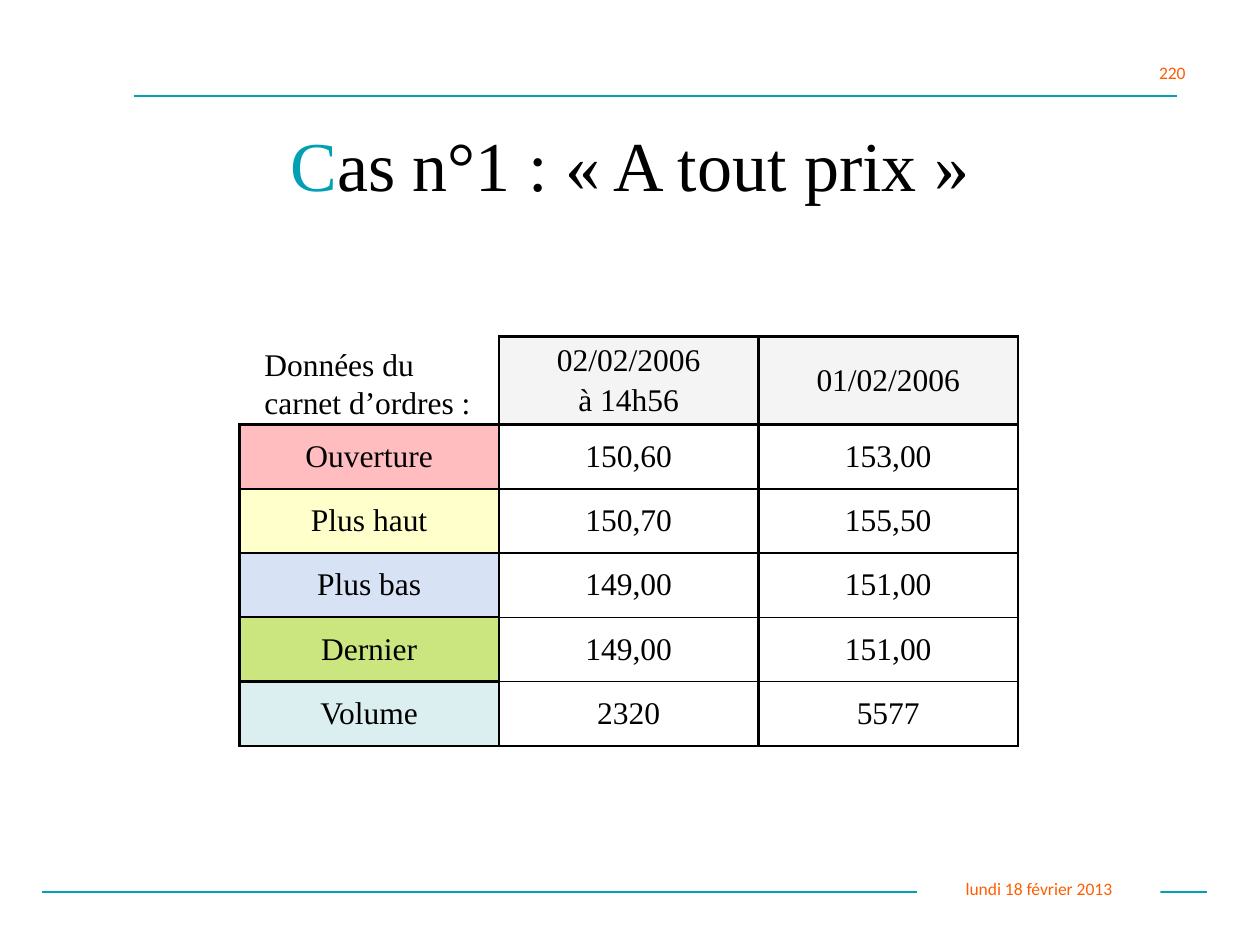
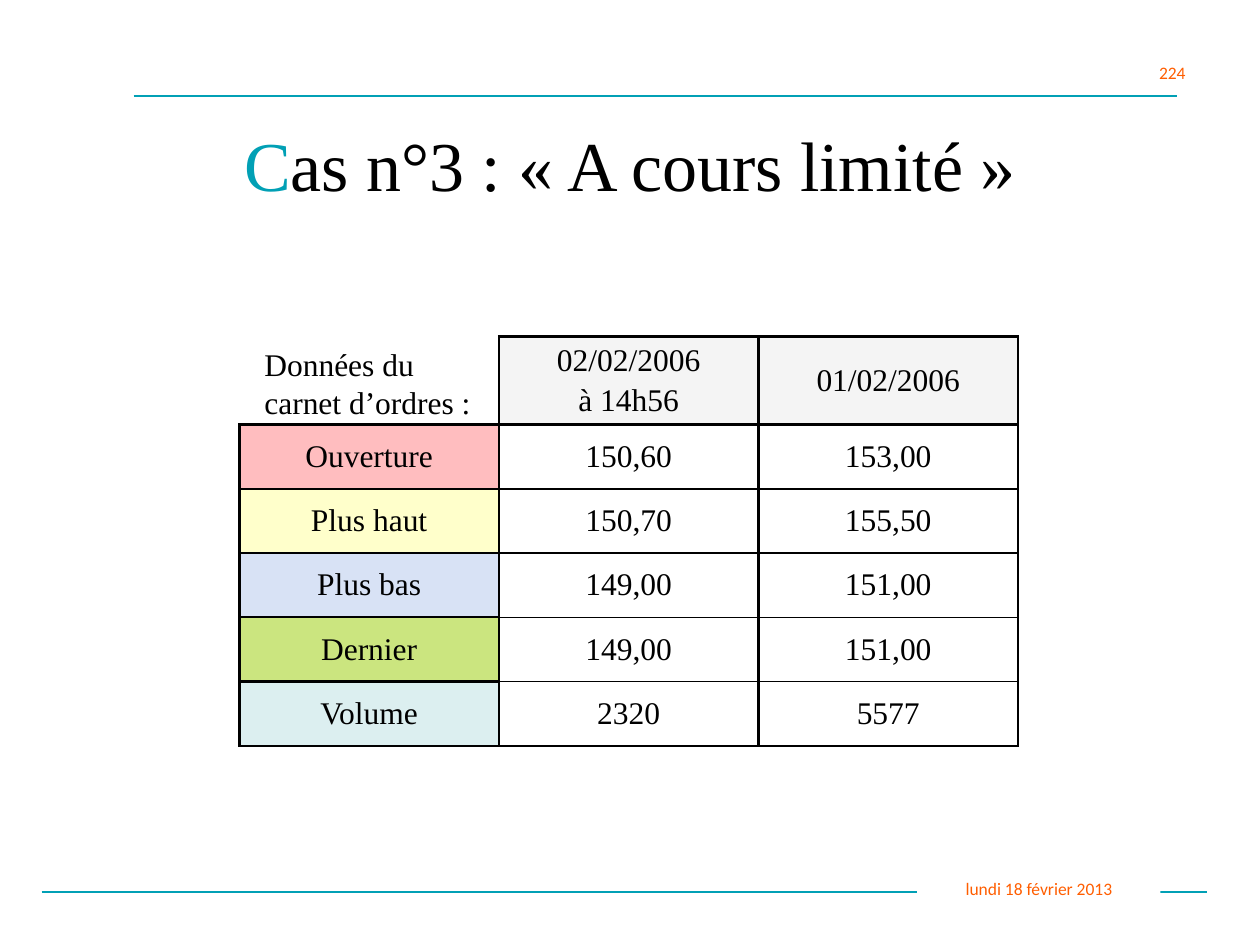
from lxml import etree
from pptx import Presentation, util as u
from pptx.dml.color import RGBColor
from pptx.enum import shapes, text
from pptx.oxml.ns import qn

CASES = [
    ("220", "as n°1 : « A tout prix »"),
    ("224", "as n°3 : « A cours limité »"),
]
DATE = "lundi 18 février 2013"
NOTE = ["Données du", "carnet d’ordres :"]
HEADS = ["", "02/02/2006\nà 14h56", "01/02/2006"]
BODY = [
    ("Ouverture", "150,60", "153,00"),
    ("Plus haut", "150,70", "155,50"),
    ("Plus bas", "149,00", "151,00"),
    ("Dernier", "149,00", "151,00"),
    ("Volume", "2320", "5577"),
]
TINTS = ["FF7C80", "FFFF99", "B2C7EC", "99CC00", "BBE0E3"]

TEAL, ORANGE, BLACK, WHITE, GREY = "01A0B5", "FF5E00", "000000", "FFFFFF", "EAEAEA"
SERIF, SANS = "Times New Roman", "Calibri"
WIDE, HIGH = 10, 7.5
RULES = [(0.33, 9.58, 7.08), (1.06, 9.34, 0.76)]
COL, HEAD, ROW = 2.06, 0.7, 0.51
MID, LEFT = text.PP_ALIGN.CENTER, text.PP_ALIGN.LEFT


def rgb(code):
    return RGBColor.from_string(code)


def box(*sides):
    return [u.Inches(side) for side in sides]


def add_run(para, words, size, face, tone):
    run = para.add_run()
    run.text = words
    run.font.size, run.font.name = u.Pt(size), face
    run.font.color.rgb = rgb(tone)


def write(frame, lines, size, face, tone, align, gap=0):
    for i, line in enumerate(lines):
        para = frame.add_paragraph() if i else frame.paragraphs[0]
        para.alignment = align
        if i and gap:
            para.space_before = u.Pt(gap)
        add_run(para, line, size, face, tone)


def add_rule(slide, start, end, y):
    line = slide.shapes.add_connector(
        shapes.MSO_CONNECTOR.STRAIGHT, *box(start, y, end, y))
    line.line.color.rgb, line.line.width = rgb(TEAL), u.Pt(1)
    etree.SubElement(line._element.spPr, qn("a:effectLst"))


def add_label(slide, words, place, align, wrap):
    label = slide.shapes.add_shape(shapes.MSO_SHAPE.RECTANGLE, *box(*place))
    label.shadow.inherit = False
    label.fill.solid()
    label.fill.fore_color.rgb = rgb(WHITE)
    label.line.fill.background()
    label.text_frame.word_wrap = wrap
    label.text_frame.vertical_anchor = text.MSO_ANCHOR.MIDDLE
    write(label.text_frame, [words], 10, SANS, ORANGE, align)


def add_frame(slide, page):
    """Draw the rules, the date and the page number that all slides share."""
    for rule in RULES:
        add_rule(slide, *rule)
    add_label(slide, DATE, (7.28, 6.92, 1.93, 0.27), MID, True)
    add_label(slide, page, (9.1, 0.44, 0.45, 0.27), LEFT, False)


def add_title(slide, rest):
    title = slide.shapes.title
    title.left, title.top, title.width, title.height = box(
        0.075 * WIDE, 0.67, 0.85 * WIDE, HIGH / 6)
    title.text_frame.vertical_anchor = text.MSO_ANCHOR.MIDDLE
    para = title.text_frame.paragraphs[0]
    para.alignment = MID
    add_run(para, "C", 40, SERIF, TEAL)
    add_run(para, rest, 40, SERIF, BLACK)


def paint(cell, tone):
    """Fill the cell at half strength, or leave it clear."""
    if not tone:
        cell.fill.background()
        return
    cell.fill.solid()
    cell.fill.fore_color.rgb = rgb(tone)
    hue = cell._tc.tcPr.find(qn("a:solidFill"))[0]
    etree.SubElement(hue, qn("a:alpha"), val="50000")


def edge(cell, widths):
    """Set the borders; they must come before the fill in the XML."""
    for i, (side, width) in enumerate(widths.items()):
        line = etree.Element(qn("a:ln" + side), w=str(u.Pt(width)))
        if width:
            fill = etree.SubElement(line, qn("a:solidFill"))
            etree.SubElement(fill, qn("a:srgbClr"), val=BLACK)
        else:
            etree.SubElement(line, qn("a:noFill"))
        cell._tc.tcPr.insert(i, line)


def get_edges(row, col):
    if row == col == 0:
        return {"L": 0, "R": 1.5, "T": 0, "B": 1.5}
    return {"L": 1.5, "R": 1.5,
            "T": 1 if col and row > 1 else 1.5,
            "B": 1 if col and 0 < row < len(BODY) else 1.5}


def get_tint(row, col):
    if row == 0:
        return GREY if col else WHITE
    return None if col else TINTS[row - 1]


def add_data(slide):
    rows = [HEADS, *BODY]
    table = slide.shapes.add_table(
        len(rows), len(HEADS),
        *box(1.9, 2.67, COL * len(HEADS), HEAD + ROW * len(BODY))).table
    table.first_row = table.horz_banding = False
    for col in table.columns:
        col.width = u.Inches(COL)
    for r, row in enumerate(rows):
        table.rows[r].height = u.Inches(ROW if r else HEAD)
        for c, words in enumerate(row):
            cell = table.cell(r, c)
            cell.vertical_anchor = text.MSO_ANCHOR.MIDDLE
            if words:
                write(cell.text_frame, words.split("\n"), 18, SERIF, BLACK, MID, 3)
            paint(cell, get_tint(r, c))
            edge(cell, get_edges(r, c))


def add_note(slide):
    frame = slide.shapes.add_textbox(*box(2, 2.69, 1.84, 0.7)).text_frame
    frame.word_wrap = False
    frame.auto_size = text.MSO_AUTO_SIZE.SHAPE_TO_FIT_TEXT
    write(frame, NOTE, 18, SERIF, BLACK, LEFT)


def main():
    deck = Presentation()
    deck.slide_width, deck.slide_height = box(WIDE, HIGH)
    for page, rest in CASES:
        slide = deck.slides.add_slide(deck.slide_layouts.get_by_name("Title Only"))
        add_frame(slide, page)
        add_title(slide, rest)
        add_data(slide)
        add_note(slide)
    deck.save("out.pptx")


if __name__ == "__main__":
    main()
